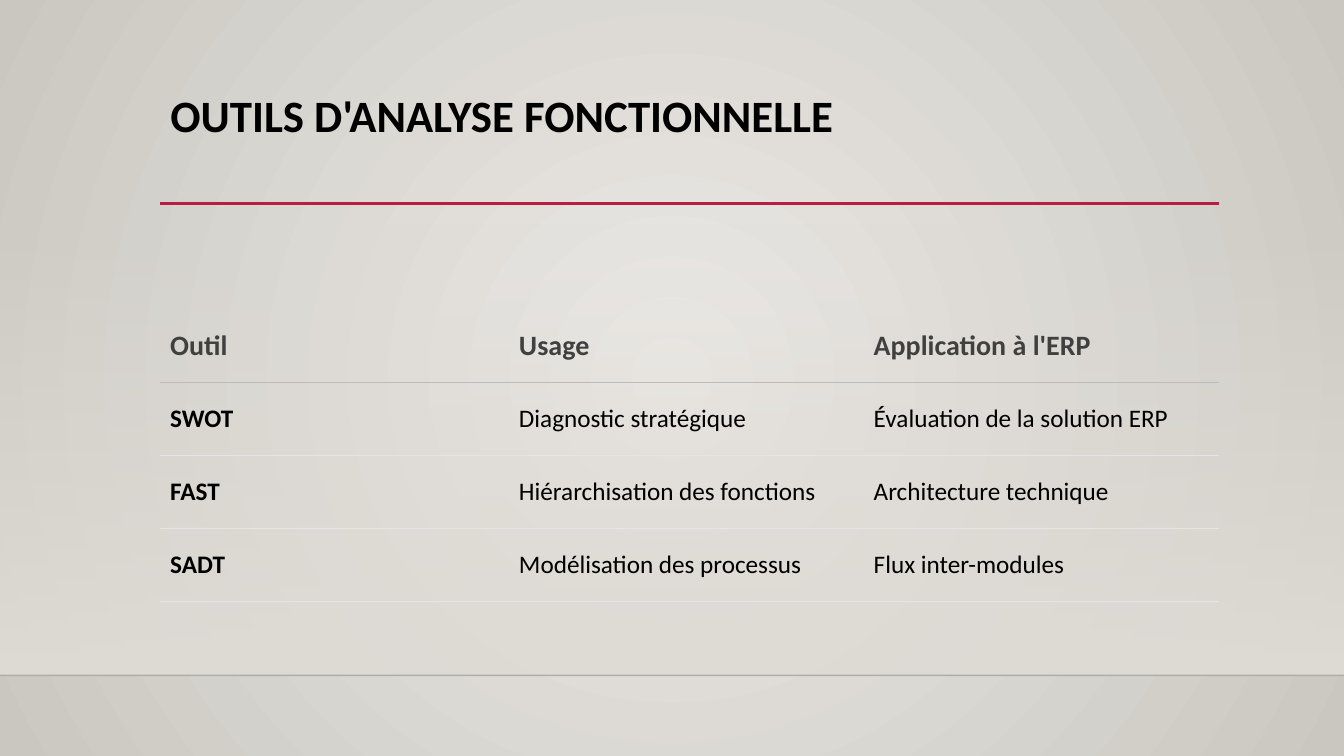
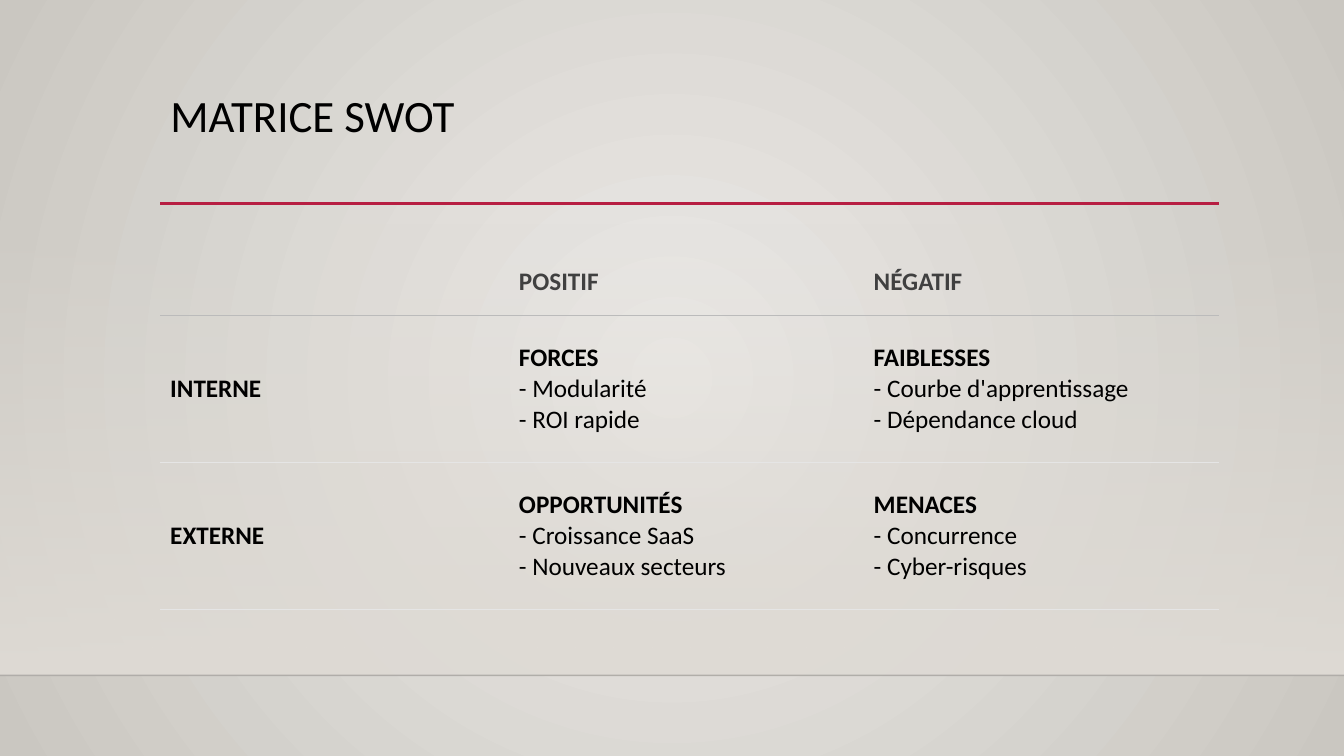
from dataclasses import dataclass
from lxml.etree import SubElement as Sub
from pptx import Presentation
from pptx.dml.color import RGBColor as Rgb
from pptx.enum.shapes import MSO_CONNECTOR as Link, MSO_SHAPE as Shape
from pptx.enum.text import MSO_ANCHOR as Anchor, MSO_AUTO_SIZE as Fit, PP_ALIGN as Align
from pptx.oxml.ns import qn
from pptx.util import Cm, Pt


@dataclass(frozen=True)
class Theme:
    font: str = "Calibri"
    ink: str = "000000"
    head: str = "404040"
    red: str = "B71E42"
    edge: str = "000001"
    light: str = "ECEAE7"
    dark: str = "CAC7C1"
    band: str = "DFDBD5"
    rule: str = "BBBBBB"
    pale: str = "E5E5E5"
    title: int = 32
    large: int = 20
    body: int = 18


T = Theme()
WIDE, HIGH = Cm(33.87), Cm(19.05)
LEFT, SPAN = Cm(4.04), Cm(26.67)
FLOOR = Cm(17.02)
COLS = (Cm(8.79), Cm(8.94), Cm(8.94))
PLAIN = "{2D5ABB26-0587-4C30-8999-92F81FD0307C}"

TOOLS = [
    ["Outil", "Usage", "Application à l'ERP"],
    ["SWOT", "Diagnostic stratégique", "Évaluation de la solution ERP"],
    ["FAST", "Hiérarchisation des fonctions", "Architecture technique"],
    ["SADT", "Modélisation des processus", "Flux inter-modules"],
]
SWOT = [
    ["", "POSITIF", "NÉGATIF"],
    ["INTERNE", "FORCES\n- Modularité\n- ROI rapide",
     "FAIBLESSES\n- Courbe d'apprentissage\n- Dépendance cloud"],
    ["EXTERNE", "OPPORTUNITÉS\n- Croissance SaaS\n- Nouveaux secteurs",
     "MENACES\n- Concurrence\n- Cyber-risques"],
]


def style(para, size, color, bold):
    for run in para.runs:
        font = run.font
        font.name, font.size, font.bold = T.font, Pt(size), bold
        font.color.rgb = Rgb.from_string(color)


def blend(fill, root, stops):
    fill.gradient()
    grad = next(root.iter(qn("a:gradFill")))
    for child in list(grad):
        grad.remove(child)
    group = Sub(grad, qn("a:gsLst"))
    for place, color, alpha in stops:
        stop = Sub(group, qn("a:gs"), pos=str(place * 1000))
        tint = Sub(stop, qn("a:srgbClr"), val=color)
        if alpha < 100:
            Sub(tint, qn("a:alpha"), val=str(alpha * 1000))
    return grad


def glow(layout):
    grad = blend(layout.background.fill, layout.element,
                 [(0, T.light, 100), (100, T.dark, 100)])
    ring = Sub(grad, qn("a:path"), path="circle")
    Sub(ring, qn("a:fillToRect"), l="50000", t="50000", r="50000", b="50000")


def add_band(slide):
    top = Cm(5.61)
    band = slide.shapes.add_shape(Shape.RECTANGLE, 0, top, WIDE, FLOOR - top)
    band.shadow.inherit = False
    band.line.fill.background()
    grad = blend(band.fill, band.element, [(0, T.band, 0), (100, T.band, 100)])
    Sub(grad, qn("a:lin"), ang="5400000", scaled="0")
    return band


def add_rule(slide, left, top, span, color, width, alpha=100):
    rule = slide.shapes.add_connector(Link.STRAIGHT, left, top, left + span, top)
    rule.line.color.rgb = Rgb.from_string(color)
    rule.line.width = Pt(width)
    if alpha < 100:
        tint = next(rule.element.iter(qn("a:srgbClr")))
        Sub(tint, qn("a:alpha"), val=str(alpha * 1000))
    Sub(rule.element.spPr, qn("a:effectLst"))
    return rule


def dress(layout, slide):
    glow(layout)
    for box in list(layout.placeholders):
        if box.placeholder_format.idx:
            box.element.getparent().remove(box.element)
        else:
            box.left, box.top, box.width, box.height = LEFT, Cm(2.24), SPAN, Cm(2.92)
    parts = (
        add_band(slide),
        add_rule(slide, 0, FLOOR, WIDE, T.edge, 1, 20),
        add_rule(slide, LEFT, Cm(5.13), Cm(26.69), T.red, 2.5),
    )
    for part in parts:
        layout.shapes.element.append(part.element)


def set_title(slide, text, bold=False):
    frame = slide.shapes.title.text_frame
    frame.text = text
    frame.word_wrap = True
    frame.auto_size = Fit.NONE
    frame.vertical_anchor = Anchor.TOP
    para = frame.paragraphs[0]
    para.alignment, para.line_spacing = Align.LEFT, 0.9
    style(para, T.title, T.ink, bold)


def underline(node, color):
    props = node.get_or_add_tcPr()
    line = Sub(props, qn("a:lnB"), w=str(Pt(0.75)))
    Sub(Sub(line, qn("a:solidFill")), qn("a:srgbClr"), val=color)
    props.insert(0, line)


def fill_cell(cell, text, size, head, lead):
    cell.text_frame.text = text
    cell.fill.background()
    cell.vertical_anchor = Anchor.MIDDLE
    cell.margin_left = cell.margin_right = Cm(0.25)
    cell.margin_top = cell.margin_bottom = Cm(0.25)
    paras = cell.text_frame.paragraphs
    for spot, para in enumerate(paras):
        bold = head or lead or (len(paras) > 1 and spot == 0)
        style(para, size, T.head if head else T.ink, bold)


def add_grid(slide, data, top, rows, size):
    frame = slide.shapes.add_table(len(data), len(COLS), LEFT, top, SPAN, sum(rows))
    grid = frame.table
    grid.first_row = grid.horz_banding = False
    next(frame.element.iter(qn("a:tableStyleId"))).text = PLAIN
    for col, width in zip(grid.columns, COLS):
        col.width = width
    for row, (line, height) in enumerate(zip(data, rows)):
        grid.rows[row].height = height
        head = row == 0
        for col, text in enumerate(line):
            fill_cell(grid.cell(row, col), text, size if head else T.body,
                      head, col == 0)
    for spot, node in enumerate(frame.element.iter(qn("a:tc"))):
        underline(node, T.rule if spot < len(COLS) else T.pale)


def main():
    deck = Presentation()
    deck.slide_width, deck.slide_height = WIDE, HIGH
    layout = deck.slide_layouts.get_by_name("Title Only")

    tools = deck.slides.add_slide(layout)
    dress(layout, tools)
    set_title(tools, "OUTILS D'ANALYSE FONCTIONNELLE", True)
    add_grid(tools, TOOLS, Cm(7.8), [Cm(1.84)] * 4, T.large)

    swot = deck.slides.add_slide(layout)
    set_title(swot, "MATRICE SWOT")
    add_grid(swot, SWOT, Cm(6.25), [Cm(1.69), Cm(3.71), Cm(3.71)], T.body)

    deck.save("out.pptx")


if __name__ == "__main__":
    main()
